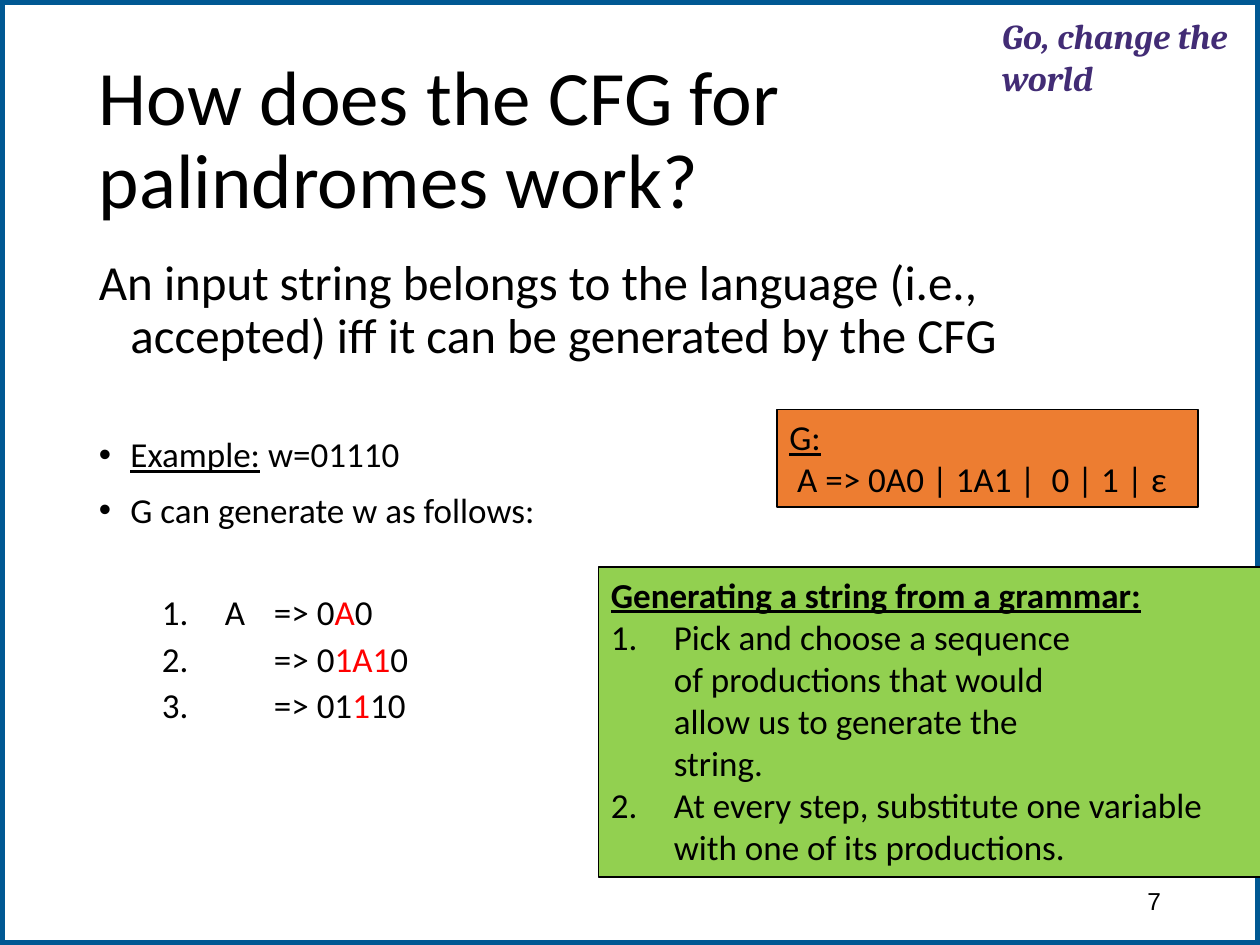
"""Builds the slide on how the palindrome grammar generates a string."""
from lxml.etree import SubElement as Sub
from pptx import Presentation
from pptx.dml.color import RGBColor as Rgb
from pptx.enum.shapes import MSO_SHAPE as Kind
from pptx.enum.text import MSO_ANCHOR as Anchor, PP_ALIGN as Align
from pptx.oxml.ns import qn
from pptx.util import Pt

HUES = {"black": "000000", "white": "FFFFFF", "blue": "005893", "red": "FF0000",
        "plum": "422C75", "orange": "ED7D31", "green": "92D050"}
UNDER = {"underline": True}
RED = {"hue": "red"}


def add_para(frame, runs, base, indent=(0, 0), bullet=None, tab=None, **form):
    first = frame.paragraphs[0]
    para = frame.add_paragraph() if first.runs else first
    props = para._p.get_or_add_pPr()
    props.set("marL", str(Pt(indent[0])))
    props.set("indent", str(Pt(indent[1])))
    if bullet == "•":
        Sub(props, qn("a:buFont"), typeface="Arial")
        Sub(props, qn("a:buChar"), char=bullet)
    elif bullet:
        Sub(props, qn("a:buFont"), typeface="+mj-lt")
        Sub(props, qn("a:buAutoNum"), type=bullet)
    if tab:
        tabs = Sub(props, qn("a:tabLst"))
        Sub(tabs, qn("a:tab"), pos=str(Pt(tab)), algn="l")
    for key, val in form.items():
        setattr(para, key, val)
    for text, style in runs:
        look = {"name": "Calibri", "hue": "black", **base, **style}
        hue = look.pop("hue")
        for num, line in enumerate(text.split("\n")):
            if num:
                para.add_line_break()
            if line:
                run = para.add_run()
                run.text = line
                for key, val in look.items():
                    setattr(run.font, key, val)
                run.font.color.rgb = Rgb.from_string(HUES[hue])


def add_box(place, fill=None, line="black", width=1, anchor=Anchor.TOP):
    spots = [Pt(n) for n in place]
    if fill:
        shape = slide.shapes.add_shape(Kind.RECTANGLE, *spots)
        shape.shadow.inherit = False
        shape.fill.solid()
        shape.fill.fore_color.rgb = Rgb.from_string(HUES[fill])
        shape.line.color.rgb = Rgb.from_string(HUES[line])
        shape.line.width = Pt(width)
    else:
        shape = slide.shapes.add_textbox(*spots)
    frame = shape.text_frame
    frame.word_wrap = True
    frame.vertical_anchor = anchor
    return frame


deck = Presentation()
deck.slide_width, deck.slide_height = Pt(720), Pt(540)
slide = deck.slides.add_slide(deck.slide_layouts[6])
add_box((0, 0, 720, 540), "white", "blue", 6)

motto = add_box((571.7, 7.2, 147.6, 44.6))
for side in ("left", "right", "top", "bottom"):
    setattr(motto, f"margin_{side}", Pt(1 if side == "top" else 0))
add_para(motto, [("Go, change the world", {})],
         {"name": "Cambria", "size": Pt(20), "hue": "plum", "bold": True, "italic": True},
         indent=(1, 0))

title = add_box((49.5, 28.8, 621, 104.4), anchor=Anchor.MIDDLE)
add_para(title, [("How does the CFG for palindromes work?", {})], {"size": Pt(44)},
         line_spacing=0.9)

body = add_box((49.5, 144, 621, 342.7))
note = {"size": Pt(20)}
hang = (18, -18)
add_para(body, [("An input string belongs to the language (i.e., accepted) "
                 "iff it can be generated by the CFG", {})],
         {"size": Pt(28)}, hang, line_spacing=0.9)
points = [
    (42, [("Example:", UNDER), (" w=01110", {})]),
    (10, [("G can generate w as follows:", {})]),
]
for gap, runs in points:
    add_para(body, runs, note, hang, "•", line_spacing=0.9, space_before=Pt(gap))
steps = [
    (37, [("A\t=> 0", {}), ("A", RED), ("0", {})]),
    (5, [("\t=> 0", {}), ("1A1", RED), ("0", {})]),
    (5, [("\t=> 01", {}), ("1", RED), ("10", {})]),
]
for gap, runs in steps:
    add_para(body, runs, note, (72, -36), "arabicPeriod", 100,
             level=1, line_spacing=0.9, space_before=Pt(gap))

page = add_box((508.5, 500.5, 162, 28.8), anchor=Anchor.MIDDLE)
add_para(page, [("7", {})], {"name": "Arial", "size": Pt(14)}, alignment=Align.RIGHT)

rules = add_box((444, 234, 240.5, 55.75), "orange")
add_para(rules, [("G:\n", UNDER), (" A => 0A0 | 1A1 |  0 | 1 | ε", {})], note,
         alignment=Align.LEFT)

guide = add_box((342, 324, 381.6, 177.2), "green")
add_para(guide, [("Generating a string from a grammar:", {"bold": True, **UNDER})], note,
         alignment=Align.LEFT)
advice = [
    "Pick and choose a sequence\nof productions that would\n"
    "allow us to generate the\nstring.",
    "At every step, substitute one variable\nwith one of its productions.",
]
for text in advice:
    add_para(guide, [(text, {})], note, (36, -36), "arabicPeriod", alignment=Align.LEFT)

deck.save("out.pptx")
